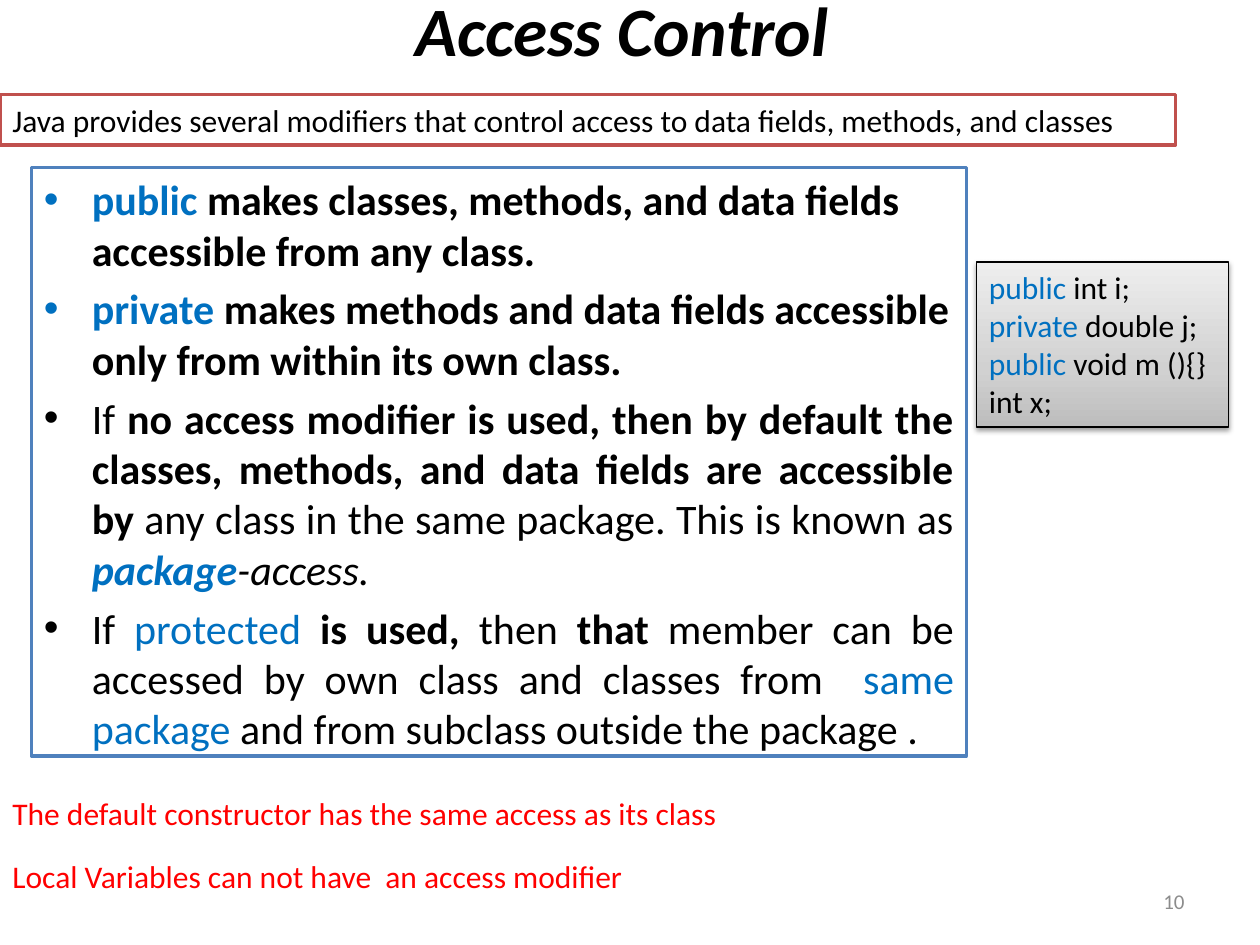
import pptx
import pptx.util
import pptx.dml.color
import pptx.enum.text
import pptx.enum.shapes
import pptx.oxml
import pptx.oxml.ns

THEME = {
    "font": "Calibri",
    "ink": "000000", "keyword": "0070C0", "warning": "FF0000", "muted": "8C8C8C",
    "paper": "FFFFFF", "rules_border": "4F81BD", "intro_border": "C0504D",
    "code_stops": [(0, "BDBDBD"), (35, "D1D1D1"), (100, "EEEEEE")],
    "title_size": 39.6, "rules_size": 24, "text_size": 18, "number_size": 12,
}

TITLE = "Access Control "
INTRO = "Java provides several modifiers that control access to data fields, methods, and classes"
RULES = [
    ("left", [("public", "bk"), (" makes classes, methods, and data fields accessible from any class.", "b")]),
    ("left", [("private", "bk"), (" makes methods and data fields accessible only from within its own class.", "b")]),
    ("justify", [
        ("If ", ""),
        ("no access modifier is used, then by default the classes, methods, and data fields are accessible by ", "b"),
        ("any class in the same package. This is known as ", ""),
        ("package", "bik"), ("-access.", "i")]),
    ("justify", [
        ("If ", ""), ("protected ", "k"), ("is used, ", "b"), ("then", ""), (" that ", "b"),
        ("member can be accessed by own class and classes from  ", ""),
        ("same package", "k"), (" and from subclass outside the package .", "")]),
]
CODE = [
    ("left", [("public ", "k"), ("int i;", "")]),
    ("left", [("private", "k"), (" double j;", "")]),
    ("left", [("public", "k"), (" void m (){}", "")]),
    ("left", [("int x;", "")]),
]
NOTES = ["The default constructor has the same access as its class",
         "Local Variables can not have  an access modifier"]
PAGE = "10"

Inches, Pt = pptx.util.Inches, pptx.util.Pt
ALIGN = {"left": pptx.enum.text.PP_ALIGN.LEFT, "center": pptx.enum.text.PP_ALIGN.CENTER,
         "right": pptx.enum.text.PP_ALIGN.RIGHT, "justify": pptx.enum.text.PP_ALIGN.JUSTIFY}
DRAWING = pptx.oxml.ns.nsdecls("a")

deck = pptx.Presentation()
deck.slide_width, deck.slide_height = Inches(10), Inches(7.5)
slide = deck.slides.add_slide(deck.slide_layouts[6])


def rgb(name):
    return pptx.dml.color.RGBColor.from_string(THEME[name])


def add_text(text, area, size="text_size", color="ink", style="", align="left",
             middle=False, border=None, weight=2, bullets=False):
    place = [Inches(length) for length in area]
    if border:
        box = slide.shapes.add_shape(pptx.enum.shapes.MSO_SHAPE.RECTANGLE, *place)
        box.shadow.inherit = False
        box.fill.solid()
        box.fill.fore_color.rgb = rgb("paper")
        box.line.color.rgb = rgb(border)
        box.line.width = Pt(weight)
    else:
        box = slide.shapes.add_textbox(*place)
    frame = box.text_frame
    frame.word_wrap = True
    anchors = pptx.enum.text.MSO_ANCHOR
    frame.vertical_anchor = anchors.MIDDLE if middle else anchors.TOP
    lines = [(align, [(text, style)])] if isinstance(text, str) else text
    for index, (line_align, runs) in enumerate(lines):
        line = frame.paragraphs[0] if index == 0 else frame.add_paragraph()
        line.alignment = ALIGN[line_align]
        if bullets:
            line.space_before = Pt(THEME[size] * 0.2)
            layout = line._p.get_or_add_pPr()
            layout.set("marL", str(Inches(0.38)))
            layout.set("indent", str(-Inches(0.38)))
            layout.append(pptx.oxml.parse_xml(f'<a:buFont {DRAWING} typeface="Arial"/>'))
            layout.append(pptx.oxml.parse_xml(f'<a:buChar {DRAWING} char="\u2022"/>'))
        for words, marks in runs:
            run = line.add_run()
            run.text = words
            run.font.name = THEME["font"]
            run.font.size = Pt(THEME[size])
            run.font.bold = "b" in marks
            run.font.italic = "i" in marks
            run.font.color.rgb = rgb("keyword" if "k" in marks else color)
    return box


def shade(panel):
    stops = "".join(f'<a:gs pos="{at * 1000}"><a:srgbClr val="{tone}"/></a:gs>'
                    for at, tone in THEME["code_stops"])
    gradient = pptx.oxml.parse_xml(
        f'<a:gradFill {DRAWING} rotWithShape="1"><a:gsLst>{stops}</a:gsLst>'
        '<a:lin ang="16200000" scaled="0"/></a:gradFill>')
    properties = panel._element.spPr
    solid = properties.find(pptx.oxml.ns.qn("a:solidFill"))
    properties.replace(solid, gradient)
    effects = properties.find(pptx.oxml.ns.qn("a:effectLst"))
    effects.append(pptx.oxml.parse_xml(
        f'<a:outerShdw {DRAWING} blurRad="{Pt(3.1)}" dist="{Pt(1.6)}" dir="5400000" rotWithShape="0">'
        f'<a:srgbClr val="{THEME["ink"]}"><a:alpha val="38000"/></a:srgbClr></a:outerShdw>'))


add_text(TITLE, (0.5, 0, 9, 0.45), size="title_size", style="bi", align="center", middle=True)
add_text(RULES, (0.25, 1.33, 7.42, 4.67), size="rules_size", border="rules_border", bullets=True)
add_text(PAGE, (7.17, 6.95, 2.33, 0.4), size="number_size", color="muted", align="right", middle=True)
shade(add_text(CODE, (7.75, 2.08, 2, 1.31), border="ink", weight=0.75))
for row, note in enumerate(NOTES):
    add_text(note, (0, 6.25 + row * 0.5, 6, 0.4), color="warning")
add_text(INTRO, (0, 0.75, 9.33, 0.4), border="intro_border")

deck.save("out.pptx")
